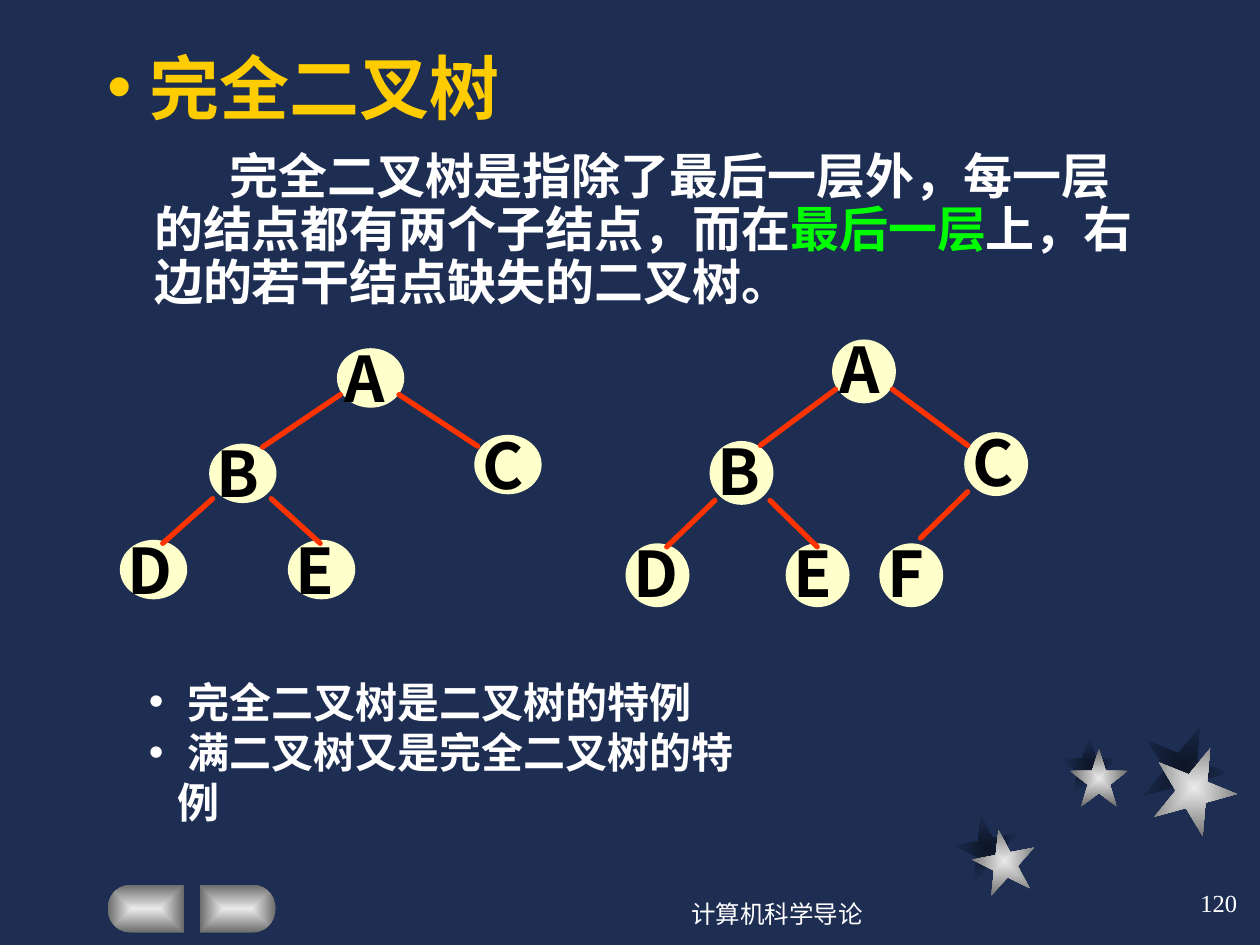
import math
from dataclasses import dataclass

import pptx
import pptx.dml.color
import pptx.enum.dml
import pptx.enum.shapes
import pptx.enum.text
import pptx.oxml
import pptx.oxml.ns
import pptx.util
from lxml import etree

Pt = pptx.util.Pt
qn = pptx.oxml.ns.qn
Align = pptx.enum.text.PP_ALIGN
Anchor = pptx.enum.text.MSO_ANCHOR
Preset = pptx.enum.shapes.MSO_SHAPE


@dataclass(frozen=True)
class Theme:
    back: str = "1E2E53"
    shade: str = "0D1526"
    silver: str = "EAEAEA"
    grey: str = "6B6B6B"
    gold: str = "FFCC00"
    white: str = "FFFFFF"
    green: str = "00FF00"
    node: str = "FFFFCC"
    edge: str = "FF3300"
    black: str = "000000"
    title_size: float = 40
    letter_size: float = 36
    body_size: float = 28
    note_size: float = 24
    footer_size: float = 14
    sans: str = "Arial"
    serif: str = "Times New Roman"
    cjk: str = "Noto Sans CJK SC"


THEME = Theme()


def rgb(value):
    return pptx.dml.color.RGBColor.from_string(value)


def apply(target, values):
    for name, value in values.items():
        setattr(target, name, value)


def add_span(para, text, size, color, face, bold=True):
    span = para.add_run()
    span.text = text
    apply(span.font, {"size": Pt(size), "bold": bold, "name": face})
    span.font.color.rgb = rgb(color)
    east = etree.SubElement(span.font._element, qn("a:ea"))
    east.set("typeface", THEME.cjk)


def set_indent(para, margin, first, bullet_color=None):
    props = para._p.get_or_add_pPr()
    props.set("marL", str(Pt(margin)))
    props.set("indent", str(Pt(first)))
    if bullet_color:
        color = etree.SubElement(props, qn("a:buClr"))
        etree.SubElement(color, qn("a:srgbClr")).set("val", bullet_color)
        etree.SubElement(props, qn("a:buFont")).set("typeface", THEME.sans)
        etree.SubElement(props, qn("a:buChar")).set("char", "•")


def add_text_box(page, box, anchor=Anchor.TOP):
    frame = page.shapes.add_textbox(*map(Pt, box)).text_frame
    apply(frame, {"word_wrap": True, "vertical_anchor": anchor})
    return frame


def fill_from_centre(shape, inner, outer):
    """Rectangular gradient spreading from the middle; no outline."""
    shape.shadow.inherit = False
    shape.line.fill.background()
    shape.fill.gradient()
    for stop, color, position in zip(shape.fill.gradient_stops, (inner, outer), (0, 1)):
        stop.color.rgb = rgb(color)
        stop.position = position
    gradient = shape._element.spPr.find(qn("a:gradFill"))
    linear = gradient.find(qn("a:lin"))
    if linear is not None:
        gradient.remove(linear)
    spread = etree.SubElement(gradient, qn("a:path"), {"path": "rect"})
    etree.SubElement(spread, qn("a:fillToRect"), dict.fromkeys("ltrb", "50000"))


def add_stars(page, box):
    left, top = box
    # size, turn, shadow place, star place
    stars = ((36, 349, (0, 52), (10, 60)),
             (33, 0, (60, 7), (65.5, 14)),
             (48, 22, (106.5, 0), (112.5, 12)))
    for layer, colors in ((2, (THEME.shade, THEME.back)), (3, (THEME.silver, THEME.grey))):
        for star in stars:
            size, turn, (x, y) = star[0], star[1], star[layer]
            shape = page.shapes.add_shape(
                Preset.STAR_5_POINT, Pt(left + x), Pt(top + y), Pt(size), Pt(size))
            shape.rotation = turn
            fill_from_centre(shape, *colors)


def add_button(page, box, side):
    """Half pill; side is -1 for a round left end, 1 for a round right end."""
    left, top, width, height = box
    radius = height / 2
    flat = left if side > 0 else left + width
    centre = flat + side * (width - radius)
    angles = [math.radians(90 - step * 10) for step in range(19)]
    arc = [(Pt(centre + side * radius * math.cos(a)),
            Pt(top + radius - radius * math.sin(a))) for a in angles]
    builder = page.shapes.build_freeform(Pt(flat), Pt(top))
    builder.add_line_segments(arc + [(Pt(flat), Pt(top + height))], close=True)
    fill_from_centre(builder.convert_to_shape(), THEME.silver, THEME.grey)


def add_title(page, box, text):
    title = page.shapes.title
    apply(title, dict(zip(("left", "top", "width", "height"), map(Pt, box))))
    apply(title.text_frame, {"vertical_anchor": Anchor.BOTTOM, "word_wrap": True,
                             "auto_size": pptx.enum.text.MSO_AUTO_SIZE.NONE})
    para = title.text_frame.paragraphs[0]
    para.alignment = Align.LEFT
    set_indent(para, 24.5, -24.5, THEME.gold)
    add_span(para, text, THEME.title_size, THEME.gold, THEME.sans)


def add_definition(page, box, parts):
    para = add_text_box(page, box).paragraphs[0]
    para.line_spacing = Pt(30.3)
    set_indent(para, 27, 43)
    for text, color in parts:
        add_span(para, text, THEME.body_size, color, THEME.sans)


def add_notes(page, box, lines):
    frame = add_text_box(page, box)
    for index, text in enumerate(lines):
        para = frame.add_paragraph() if index else frame.paragraphs[0]
        para.line_spacing = Pt(28.7)
        set_indent(para, 16.5, -16.5, THEME.white)
        add_span(para, text, THEME.note_size, THEME.white, THEME.serif)


def add_tree(page, box, node_size, nodes, edges):
    left, top = box
    for letter, (x, y) in nodes.items():
        place = (left + x, top + y, *node_size)
        node = page.shapes.add_shape(Preset.OVAL, *map(Pt, place))
        node.shadow.inherit = False
        node.fill.solid()
        node.fill.fore_color.rgb = node.line.color.rgb = rgb(THEME.node)
        node.line.width = Pt(1)
        frame = add_text_box(page, (place[0] - 9.5, place[1] - 9, 66, 50.4))
        frame.margin_left = Pt(13.5)
        para = frame.paragraphs[0]
        para.line_spacing = Pt(43.2)
        add_span(para, letter, THEME.letter_size, THEME.black, THEME.cjk)
    for x1, y1, x2, y2 in edges:
        edge = page.shapes.add_connector(
            pptx.enum.shapes.MSO_CONNECTOR.STRAIGHT,
            Pt(left + x1), Pt(top + y1), Pt(left + x2), Pt(top + y2))
        edge.line.color.rgb = rgb(THEME.edge)
        edge.line.width = Pt(3)
        props = edge._element.spPr
        props.find(qn("a:ln")).set("cap", "rnd")
        etree.SubElement(props, qn("a:effectLst"))


def add_footer(page, box, text, alignment):
    para = add_text_box(page, box, Anchor.MIDDLE).paragraphs[0]
    para.alignment = alignment
    add_span(para, text, THEME.footer_size, THEME.white, THEME.serif, bold=False)


def main():
    deck = pptx.Presentation()
    apply(deck, {"slide_width": Pt(720), "slide_height": Pt(540)})
    page = deck.slides.add_slide(deck.slide_layouts[5])
    page.background.fill.solid()
    page.background.fill.fore_color.rgb = rgb(THEME.back)

    # Decoration
    add_stars(page, (546, 414))
    add_button(page, (61.5, 505.5, 43.5, 27.5), -1)
    add_button(page, (114, 505.5, 43.5, 27.5), 1)

    # Heading and definition
    add_title(page, (54, 18, 612, 59), "完全二叉树")
    add_definition(page, (54, 83, 612, 108), (
        ("完全二叉树是指除了最后一层外，每一层的结点都有两个子结点，而在", THEME.white),
        ("最后一层", THEME.green),
        ("上，右边的若干结点缺失的二叉树。", THEME.white)))

    # Example trees
    add_tree(page, (69, 199), (37.5, 33),
             {"A": (124, 0.5), "E": (96, 110), "D": (0, 110),
              "C": (202.5, 50), "B": (51, 55)},
             ((125.5, 26.5, 81, 56.5), (159, 26.5, 204, 56),
              (86, 86, 114, 111.5), (52.5, 86, 24, 111.5)))
    add_tree(page, (358, 194.5), (35.5, 35.5),
             {"A": (118, 0), "F": (145, 116.5), "E": (91.5, 116.5),
              "D": (0, 116.5), "C": (193.5, 53), "B": (48, 58)},
             ((119.5, 28, 76.5, 60), (152, 28, 195, 60), (82, 91.5, 109, 118),
              (195, 86.5, 168, 113), (50.5, 91.5, 23, 118)))

    # Remarks and footer
    add_notes(page, (78, 383, 364, 65),
              (" 完全二叉树是二叉树的特例", " 满二叉树又是完全二叉树的特例"))
    add_footer(page, (330, 504, 228, 36), "计算机科学导论", Align.CENTER)
    add_footer(page, (564, 498, 150, 36), "120", Align.RIGHT)

    deck.save("out.pptx")


if __name__ == "__main__":
    main()
